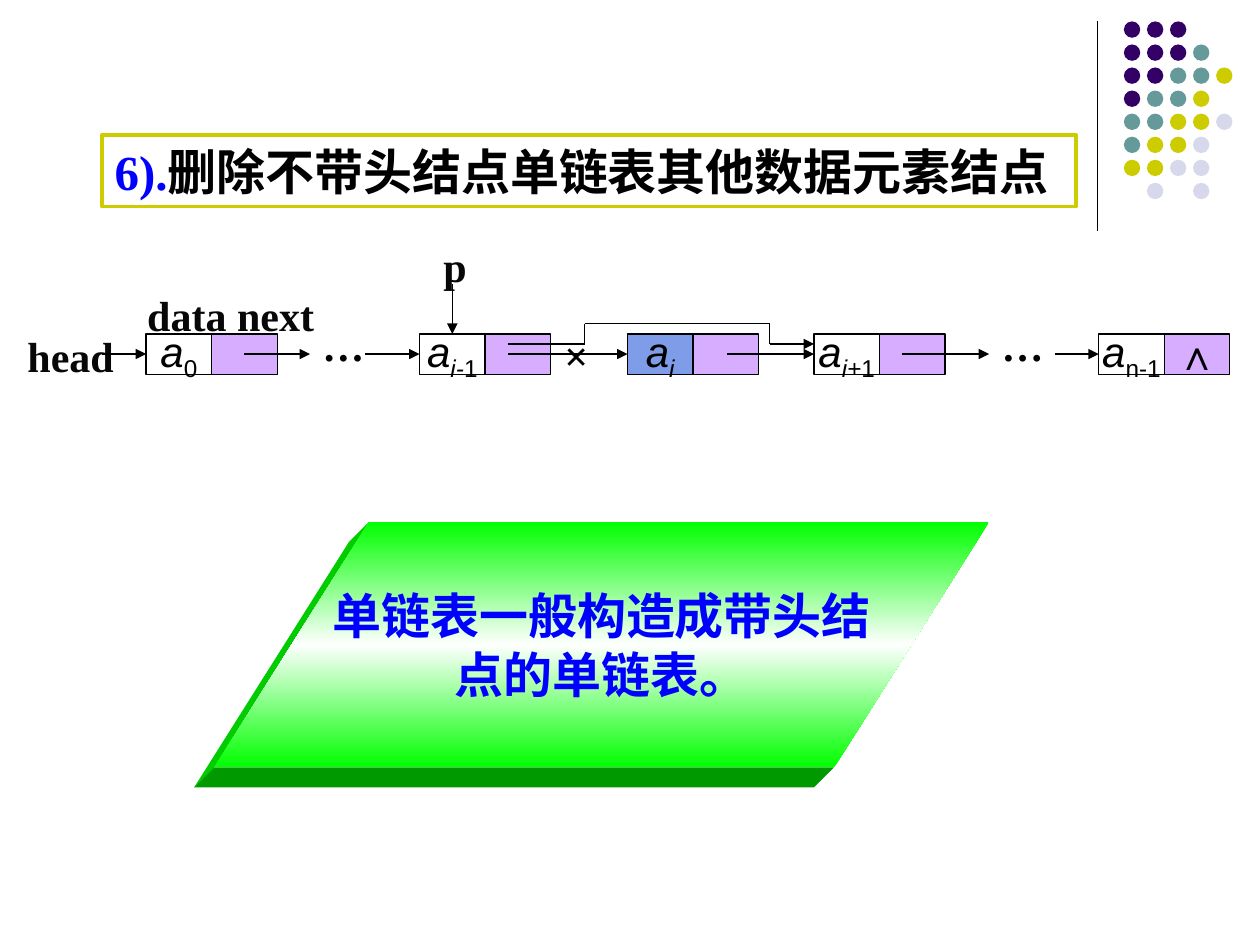
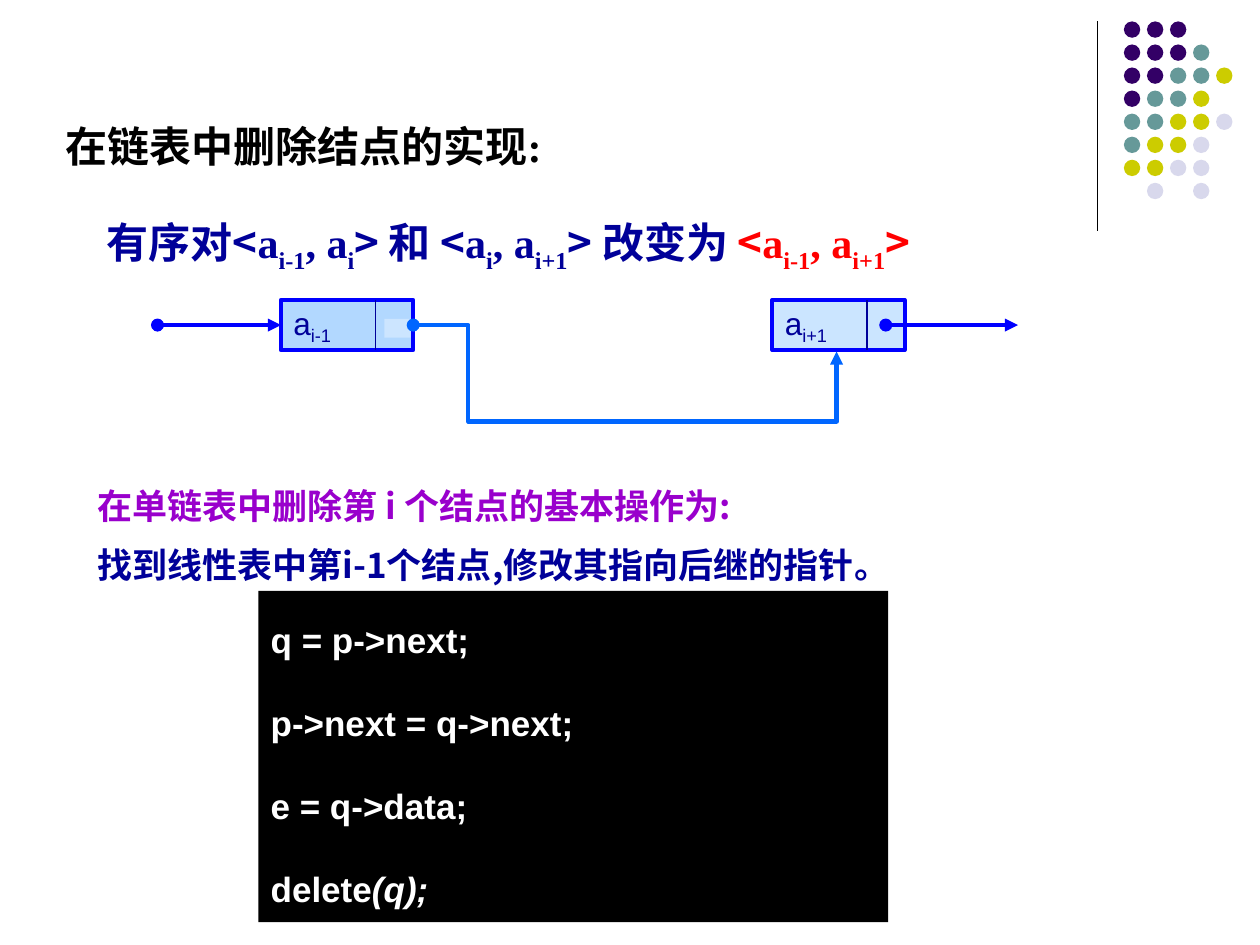
from copy import deepcopy

from lxml.etree import SubElement
from pptx import Presentation
from pptx.dml.color import RGBColor
from pptx.enum.shapes import MSO_CONNECTOR as CONNECTOR, MSO_SHAPE as SHAPE
from pptx.enum.text import MSO_ANCHOR as ANCHOR, MSO_AUTO_SIZE as AUTO, PP_ALIGN as ALIGN
from pptx.oxml.ns import qn
from pptx.util import Inches, Pt

BLACK = RGBColor(0, 0, 0)
INK = RGBColor(0x08, 0x08, 0x08)
WHITE = RGBColor(0xFF, 0xFF, 0xFF)
PURPLE = RGBColor(0x33, 0x00, 0x66)
TEAL = RGBColor(0x66, 0x99, 0x99)
OLIVE = RGBColor(0xCC, 0xCC, 0x00)
MIST = RGBColor(0xD8, 0xD8, 0xEC)
BLUE = RGBColor(0x00, 0x00, 0xFF)
NAVY = RGBColor(0x00, 0x00, 0x99)
LINK_BLUE = RGBColor(0x00, 0x66, 0xFF)
SKY = RGBColor(0x99, 0xCC, 0xFF)
PALE_SKY = RGBColor(0xCC, 0xE5, 0xFF)
LILAC = RGBColor(0xD6, 0xAD, 0xFF)
PERIWINKLE = RGBColor(0x7E, 0x9C, 0xE8)
VIOLET = RGBColor(0x99, 0x00, 0xCC)
RED = RGBColor(0xFF, 0x00, 0x00)
LIME = RGBColor(0x00, 0xFF, 0x00)
GREEN = RGBColor(0x00, 0xCC, 0x00)
DARK_GREEN = RGBColor(0x00, 0x99, 0x00)

SERIF, SANS, CJK = "Times New Roman", "Arial", "Noto Sans CJK SC"
SUB = {"baseline": -25000}
TITLE = {"name": SERIF, "bold": True, "color": BLACK}
LABEL = {"name": SERIF, "size": Pt(24), "bold": True, "color": INK}
NODE = {"name": SANS, "size": Pt(24), "color": BLACK}
PAIR = {"name": CJK, "size": Pt(24), "bold": True, "color": NAVY}

DOTS = ["PPP", "PPPT", "PPTTO", "PTTO", "TTOOM", "TOOM", "OOMM", " M M"]
DOT_COLOURS = {"P": PURPLE, "T": TEAL, "O": OLIVE, "M": MIST}
CELL_W, CELL_H, ROW_TOP, ROW_MID = 0.52, 0.32, 2.65, 2.81


def style_span(span, form):
    """Apply a dict of format values to one run."""
    props = span._r.get_or_add_rPr()
    for key, value in form.items():
        if key == "color":
            span.font.color.rgb = value
        elif key == "baseline":
            props.set(key, str(value))
        else:
            setattr(span.font, key, value)
    SubElement(props, qn("a:ea"), typeface=CJK)


def write(box, paras, form, para_form=None, **frame_form):
    """Fill a shape with paragraphs, each a list of (text, format) spans."""
    frame = box.text_frame
    frame_form = {"word_wrap": True, "auto_size": AUTO.NONE,
                  "vertical_anchor": ANCHOR.TOP, **frame_form}
    for key, value in frame_form.items():
        setattr(frame, key, value)
    for index, spans in enumerate(paras):
        para = frame.add_paragraph() if index else frame.paragraphs[0]
        values = {"alignment": ALIGN.LEFT, "space_before": Pt(0), **(para_form or {})}
        if not index:
            values["space_before"] = Pt(0)
        for key, value in values.items():
            setattr(para, key, value)
        for text, extra in spans:
            span = para.add_run()
            span.text = text
            style_span(span, {**form, **extra})


def place(box, left, top, width, height):
    """Move and size a shape, in inches."""
    for key, value in zip(("left", "top", "width", "height"), (left, top, width, height)):
        setattr(box, key, Inches(value))


def paint(box, fill=None, line=None, weight=0.75, alpha=None):
    """Set the fill and outline of a shape; None means empty."""
    if fill is None:
        box.fill.background()
    else:
        box.fill.solid()
        box.fill.fore_color.rgb = fill
        if alpha:
            colour = box.element.spPr.find(qn("a:solidFill"))[0]
            SubElement(colour, qn("a:alpha"), val=str(alpha * 1000))
    if line is None:
        box.line.fill.background()
    else:
        box.line.color.rgb = line
        box.line.width = Pt(weight)


def add_box(shapes, kind, at, **look):
    """Add a preset shape without shadow."""
    box = shapes.add_shape(kind, *map(Inches, at))
    box.shadow.inherit = False
    paint(box, **look)
    return box


def add_text(page, at, paras, form, para_form=None):
    """Add a wrapping text box."""
    box = page.shapes.add_textbox(*map(Inches, at))
    write(box, paras, form, para_form)
    return box


def add_line(page, start, end, color=BLACK, weight=0.75, head=None, tail=None,
             kind=CONNECTOR.STRAIGHT):
    """Add a connector with optional line ends."""
    line = page.shapes.add_connector(kind, *map(Inches, start + end))
    line.line.color.rgb = color
    line.line.width = Pt(weight)
    props = line.element.spPr
    for tag, end_type in (("a:headEnd", head), ("a:tailEnd", tail)):
        if end_type:
            SubElement(props.find(qn("a:ln")), qn(tag), type=end_type)
    SubElement(props, qn("a:effectLst"))
    return line


def add_polygon(page, points, fill):
    """Add a filled outline through the points."""
    corners = [(Inches(x), Inches(y)) for x, y in points]
    builder = page.shapes.build_freeform(*corners[0])
    builder.add_line_segments(corners[1:])
    shape = builder.convert_to_shape()
    shape.shadow.inherit = False
    paint(shape, fill)


def decorate_master(deck, page):
    """Draw the corner rule and dots and move them to the slide master."""
    rule = add_line(page, (8.71, 0.17), (8.71, 1.83))
    group = page.shapes.add_group_shape()
    for row, marks in enumerate(DOTS):
        for column, mark in enumerate(marks):
            if mark in DOT_COLOURS:
                at = (8.92 + column * 0.183, 0.17 + row * 0.183, 0.13, 0.13)
                add_box(group.shapes, SHAPE.OVAL, at, fill=DOT_COLOURS[mark])
    tree = deck.slide_master.element.cSld.spTree
    number = 100
    for part in (rule.element, group.element):
        for props in part.iter(qn("p:cNvPr")):
            props.set("id", str(number))
            number += 1
        tree.append(part)


def add_cell(page, left, spans, fill=None):
    """Add one half of a list node."""
    box = add_box(page.shapes, SHAPE.RECTANGLE, (left, ROW_TOP, CELL_W, CELL_H),
                  fill=fill, line=BLACK)
    if spans:
        write(box, [spans], NODE, {"alignment": ALIGN.CENTER},
              word_wrap=False, vertical_anchor=ANCHOR.MIDDLE)


def add_list_node(page, left, index, fill=None, pointer=()):
    """Add a data cell and a pointer cell side by side."""
    add_cell(page, left, [("a", {"italic": True})] + index, fill)
    add_cell(page, left + CELL_W, pointer, LILAC)


def add_prism(page):
    """Add the green slanted block with its two visible sides."""
    left, top, width, height, depth = 1.7, 4.14, 6.15, 1.95, 0.16
    bottom, slant = top + height, width / 5
    upper = (left + slant, top)
    lower = (left, bottom)
    right = (left + width - slant, bottom)
    for (x1, y1), (x2, y2), fill in ((upper, lower, GREEN), (lower, right, DARK_GREEN)):
        add_polygon(page, [(x1, y1), (x2, y2), (x2 - depth, y2 + depth),
                           (x1 - depth, y1 + depth)], fill)
    face = add_box(page.shapes, SHAPE.FLOWCHART_DATA, (left, top, width, height))
    face.fill.gradient()
    face.fill.gradient_angle = 270
    stops = face.element.spPr.find(qn("a:gradFill")).find(qn("a:gsLst"))
    middle = deepcopy(stops[0])
    middle.set("pos", "50000")
    stops.insert(1, middle)
    for stop, colour in zip(face.fill.gradient_stops, (LIME, WHITE, LIME)):
        stop.color.rgb = colour
    write(face, [[("单链表一般构造成带头结", {})], [("点的单链表。", {})]],
          {"name": SANS, "size": Pt(28), "bold": True, "color": BLUE},
          {"alignment": ALIGN.CENTER}, word_wrap=False, vertical_anchor=ANCHOR.MIDDLE)


def build_no_head_slide(page):
    """Deleting a node from a list that has no head node."""
    title = page.shapes.title
    place(title, 0.81, 1.07, 7.73, 0.57)
    paint(title, WHITE, OLIVE, 2)
    write(title, [[("6).", {"color": BLUE}), ("删除不带头结点单链表其他数据元素结点", {})]],
          {**TITLE, "size": Pt(28)})

    slanted = {**SUB, "italic": True}
    add_list_node(page, 1.16, [("0", SUB)])
    add_list_node(page, 3.33, [("i-", slanted), ("1", SUB)])
    add_list_node(page, 4.98, [("i", slanted)], PERIWINKLE)
    add_list_node(page, 6.46, [("i+", slanted), ("1", SUB)])
    add_list_node(page, 8.72, [("n-1", SUB)], pointer=[("∧", {})])

    for at, text, colour in (((3.42, 1.86, 0.43, 0.51), "p", INK),
                             ((0.12, 2.57, 1.04, 0.51), "head", INK),
                             ((1.07, 2.25, 1.78, 0.51), "data next", INK),
                             ((2.46, 2.49, 0.78, 0.51), "…", BLACK),
                             ((7.85, 2.49, 0.78, 0.51), "…", BLACK),
                             ((4.38, 2.57, 0.52, 0.5), "×", BLACK)):
        add_text(page, at, [[(text, {"color": colour})]], LABEL)

    for start, end in ((0.81, 1.16), (1.94, 2.46), (2.9, 3.33), (4.03, 4.98),
                       (5.77, 6.46), (7.16, 7.85), (8.37, 8.72)):
        add_line(page, (start, ROW_MID), (end, ROW_MID), tail="triangle")
    add_line(page, (3.59, 2.25), (3.59, ROW_TOP), tail="triangle")

    bypass = [(4.03, 2.73), (4.64, 2.73), (4.64, 2.57), (6.11, 2.57), (6.11, 2.73), (6.46, 2.73)]
    for start, end in zip(bypass, bypass[1:]):
        add_line(page, start, end, tail="triangle" if end == bypass[-1] else None)
    add_prism(page)


def pair(first, second, **look):
    """Return the spans of an ordered pair <a, a> with subscripts."""
    serif = {**look, "name": SERIF}
    return [("<", look), ("a", serif), (first, {**serif, **SUB}),
            (", a", serif), (second, {**serif, **SUB}), (">", look)]


def add_linked_node(page, left, index, alpha):
    """Add a blue node with a divider before its pointer field."""
    box = add_box(page.shapes, SHAPE.RECTANGLE, (left, 2.38, 1.05, 0.4),
                  fill=SKY, line=BLUE, weight=2.25, alpha=alpha)
    write(box, [[("a", {}), (index, SUB)]], {"name": SANS, "size": Pt(18), "color": NAVY},
          word_wrap=False, vertical_anchor=ANCHOR.MIDDLE)
    add_line(page, (left + 0.75, 2.38), (left + 0.75, 2.78), NAVY)


def add_detour(page):
    """Add the bent link that runs below the removed node."""
    link = add_line(page, (3.28, 2.58), (6.64, 2.79), LINK_BLUE, 2.5,
                    "oval", "triangle", CONNECTOR.ELBOW)
    preset = link.element.spPr.find(qn("a:prstGeom"))
    preset.set("prst", "bentConnector4")
    guides = preset.find(qn("a:avLst"))
    if guides is None:
        guides = SubElement(preset, qn("a:avLst"))
    for name, value in (("adj1", 13000), ("adj2", 364200)):
        SubElement(guides, qn("a:gd"), name=name, fmla=f"val {value}")


def build_delete_slide(page):
    """How a node is deleted from a linked list."""
    title, body = page.shapes.title, page.placeholders[1]
    place(title, 0.42, 0.83, 9.58, 0.58)
    write(title, [[("在链表中删除结点的实现:", {})]], {**TITLE, "size": Pt(24)},
          {"line_spacing": 1.2})

    spans = [("有序对", {}), *pair("i-1", "i"), (" 和 ", {}), *pair("i", "i+1"),
             (" 改变为 ", {}), *pair("i-1", "i+1", color=RED)]
    add_text(page, (0.75, 1.49, 7.92, 0.67), [spans], PAIR, {"line_spacing": 1.4})

    add_linked_node(page, 2.23, "i-1", 75)
    add_linked_node(page, 6.13, "i+1", 50)
    add_box(page.shapes, SHAPE.RECTANGLE, (3.05, 2.53, 0.21, 0.15), fill=PALE_SKY)
    for start, end in ((1.25, 2.23), (7.03, 8.08)):
        add_line(page, (start, 2.58), (end, 2.58), BLUE, 2.5, "oval", "triangle")
    add_detour(page)

    place(body, 0.67, 3.66, 8.86, 0.97)
    write(body, [[("在单链表中删除第 i 个结点的基本操作为:", {"color": VIOLET})],
                 [("找到线性表中第i-1个结点,修改其指向后继的指针。".replace(",", ","), {})]],
          {**PAIR, "size": Pt(20)}, {"line_spacing": 1.4})
    for para in body.text_frame.paragraphs:
        props = para._p.get_or_add_pPr()
        props.set("marL", "0")
        props.set("indent", "0")
        SubElement(props, qn("a:buNone"))

    code = add_box(page.shapes, SHAPE.RECTANGLE, (2.05, 4.69, 5, 2.63), fill=BLACK)
    lines = [[(text, {})] for text in ("q = p->next;", "p->next = q->next;", "e = q->data;")]
    lines.append([("delete", {}), ("(q);", {"italic": True})])
    write(code, lines, {"name": SANS, "size": Pt(20), "bold": True, "color": WHITE},
          {"line_spacing": 1.5, "space_before": Pt(11.5)})


def main():
    """Build and save the deck."""
    deck = Presentation()
    deck.slide_width, deck.slide_height = Inches(10), Inches(7.5)
    first = deck.slides.add_slide(deck.slide_layouts[5])
    decorate_master(deck, first)
    build_no_head_slide(first)
    build_delete_slide(deck.slides.add_slide(deck.slide_layouts[1]))
    deck.save("out.pptx")


main()
